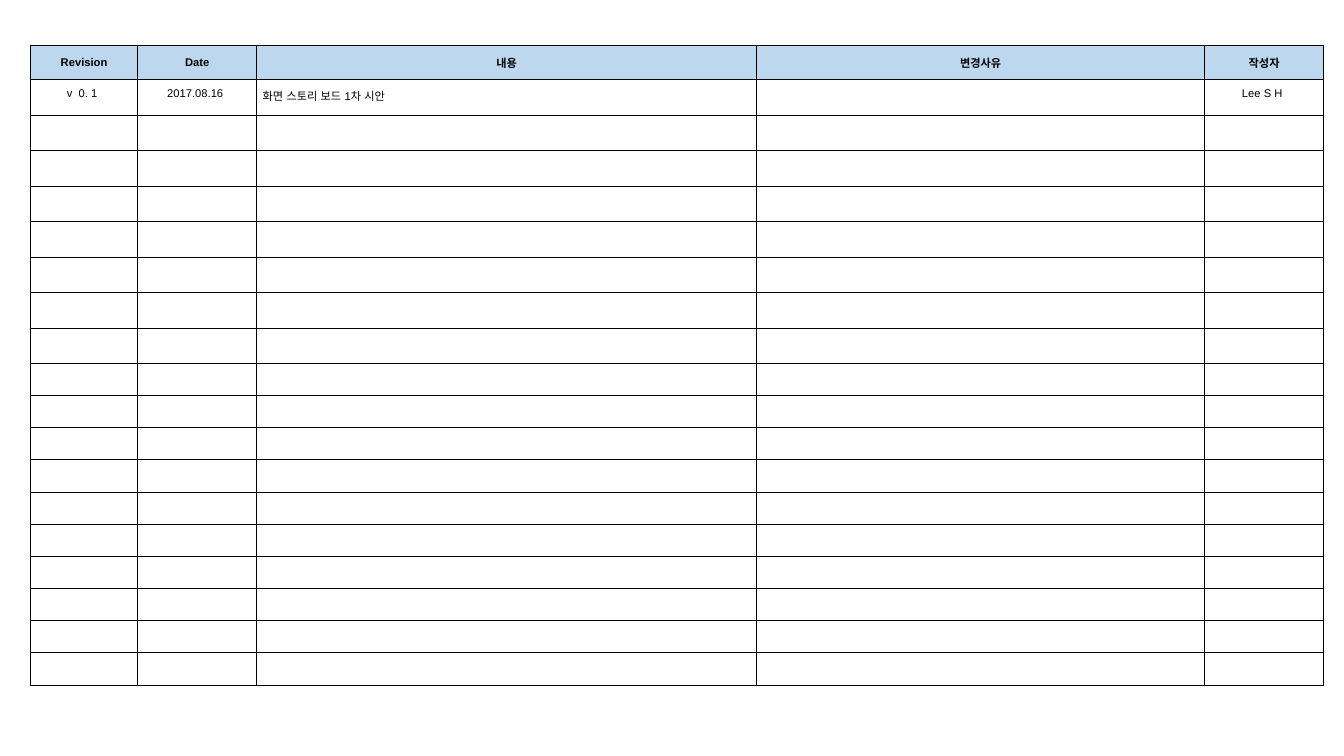
import pptx
import pptx.util
import pptx.dml.color
import pptx.enum.lang
import pptx.enum.text
import pptx.oxml
import pptx.oxml.ns
import lxml.etree

Cm, Pt = pptx.util.Cm, pptx.util.Pt
ALIGN = pptx.enum.text.PP_ALIGN
ANCHOR = pptx.enum.text.MSO_ANCHOR
KOREAN = pptx.enum.lang.MSO_LANGUAGE_ID.KOREAN
qn = pptx.oxml.ns.qn

HEADS = ["Revision", "Date", "내용", "변경사유", "작성자"]
LOG = [["v  0. 1", "2017.08.16", "화면 스토리 보드 1차 시안", "", "Lee S H"]]
SPARE = 17
DETAIL = 2  # column of left-aligned descriptions

COLORS = {"head": "BDD7EE", "ink": "000000"}
FONT, SIZE = "Arial", 8
LEFT, TOP = 0.77, 1.14
WIDTHS = [2.7, 3, 12.6, 11.29, 3]
HEIGHTS = [0.86] + [0.9, 0.89] * 4 + [0.81] * 10


def color(key):
    """Return a named colour as an RGB value."""
    return pptx.dml.color.RGBColor.from_string(COLORS[key])


def border(cell):
    """Draw a thin line on all four sides of a cell."""
    props = cell._tc.get_or_add_tcPr()
    for side in ("lnL", "lnR", "lnT", "lnB"):
        line = lxml.etree.SubElement(props, qn("a:" + side), w=str(Pt(0.75)))
        fill = lxml.etree.SubElement(line, qn("a:solidFill"))
        lxml.etree.SubElement(fill, qn("a:srgbClr"), val=COLORS["ink"])


def write(cell, text, bold):
    """Put one run in a cell, or keep an empty cell at the small size."""
    para = cell.text_frame.paragraphs[0]
    if not text:
        lxml.etree.SubElement(para._p, qn("a:endParaRPr"), sz=str(SIZE * 100))
        return
    para.space_before = Pt(0.2 * SIZE)
    run = para.add_run()
    run.text = text
    run.font.name, run.font.size, run.font.bold = FONT, Pt(SIZE), bold
    run.font.language_id = KOREAN
    run.font.color.rgb = color("ink")


def style(cell, head, left):
    """Set the fill, margins and alignment of a cell."""
    border(cell)
    cell.margin_right = cell.margin_bottom = Cm(0.1)
    para = cell.text_frame.paragraphs[0]
    para.alignment = ALIGN.LEFT if left else ALIGN.CENTER
    if head:
        cell.fill.solid()
        cell.fill.fore_color.rgb = color("head")
        cell.vertical_anchor = ANCHOR.MIDDLE
        cell.margin_left = cell.margin_top = Cm(0.1)
    else:
        cell.fill.background()
        cell.vertical_anchor = ANCHOR.TOP
        cell.margin_left = Cm(0.15 if left else 0)
        cell.margin_top = Cm(0.2)


deck = pptx.Presentation()
deck.slide_width, deck.slide_height = Cm(33.87), Cm(19.05)
slide = deck.slides.add_slide(deck.slide_layouts[6])

rows = [HEADS] + LOG + [[""] * len(HEADS)] * SPARE
frame = slide.shapes.add_table(len(rows), len(HEADS), Cm(LEFT), Cm(TOP),
                               Cm(sum(WIDTHS)), Cm(sum(HEIGHTS)))
table = frame.table
table.horz_banding = False
for col, width in zip(table.columns, WIDTHS):
    col.width = Cm(width)
for row, height in zip(table.rows, HEIGHTS):
    row.height = Cm(height)

for r, texts in enumerate(rows):
    for c, text in enumerate(texts):
        cell = table.cell(r, c)
        head = r == 0
        style(cell, head, c == DETAIL and not head)
        write(cell, text, head)

deck.save("out.pptx")
